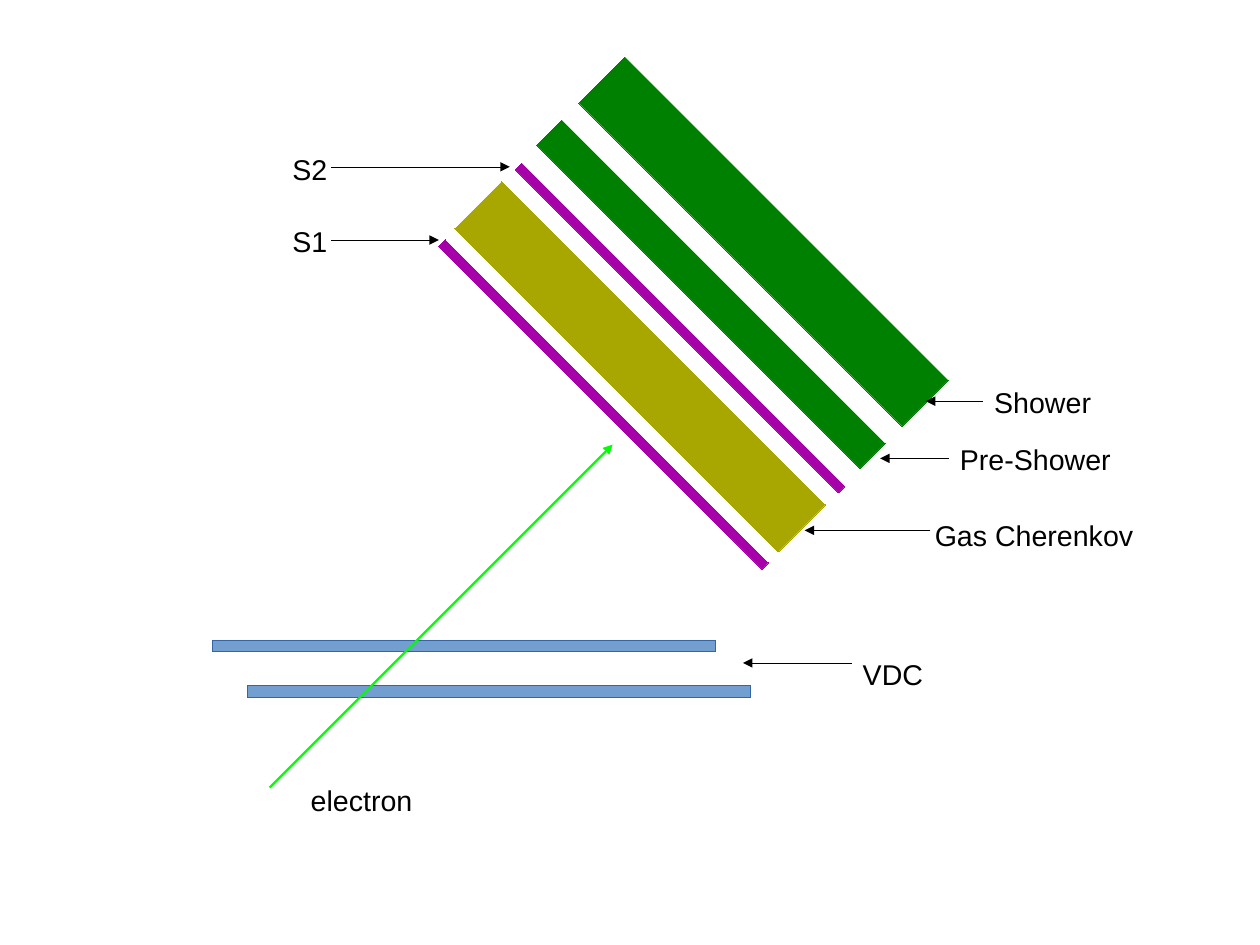
from pptx import Presentation
from pptx.dml.color import RGBColor
from pptx.enum.shapes import MSO_CONNECTOR, MSO_SHAPE
from pptx.enum.text import MSO_AUTO_SIZE
from pptx.oxml.ns import qn
from pptx.util import Inches, Pt
from lxml import etree

RECTANGLE = MSO_SHAPE.RECTANGLE
STRAIGHT = MSO_CONNECTOR.STRAIGHT
FIT_SHAPE = MSO_AUTO_SIZE.SHAPE_TO_FIT_TEXT
LEFT_SIDE = 1

BLACK = "000000"
TRACK_GREEN = "00FF00"
BLUE = "729FCF"
BLUE_EDGE = "3465A4"
PURPLE = "A600A8"
OLIVE = "A8A600"
GREEN = "008000"

CM_PER_INCH = 2.54
CHAMBER_LENGTH, CHAMBER_THICKNESS = 4.4, 0.1
DETECTOR_LENGTH, DETECTOR_ANGLE = 4, 45
LABEL_HEIGHT = 0.38

# left, top
CHAMBERS = [(1.86, 5.6), (2.17, 6)]

# left, top, thickness, colour
DETECTORS = [
    (3.28, 3.5, 0.08, PURPLE),
    (3.95, 2.83, 0.08, PURPLE),
    (3.6, 2.92, 0.58, OLIVE),
    (4.22, 2.42, 0.31, GREEN),
    (4.68, 1.83, 0.57, GREEN),
]

# text, left, top, width, arrow start x, arrow end x, arrow y
POINTERS = [
    ("VDC", 7.45, 5.7, 0.74, 7.45, 6.5, 5.8),
    ("S1", 2.46, 1.91, 0.52, 2.9, 3.84, 2.1),
    ("S2", 2.46, 1.28, 0.52, 2.9, 4.46, 1.46),
    ("Gas Cherenkov", 8.08, 4.48, 1.95, 8.14, 7.04, 4.64),
]

# text, left, top, arrow end x; the arrow leaves the middle of the left side
SIDE_POINTERS = [
    ("Shower", 8.6, 3.32, 8.1),
    ("Pre-Shower", 8.3, 3.82, 7.7),
]
SIDE_LABEL_WIDTH = 1.9


def colour(hex_string):
    return RGBColor.from_string(hex_string)


def style_line(line, line_colour, width):
    """Write the width explicitly, since a zero width is otherwise left out."""
    line.color.rgb = colour(line_colour)
    line_element = line._get_or_add_ln()
    line_element.set("w", str(Pt(width)))
    return line_element


def add_bar(slide, left, top, length, thickness, fill, edge, angle=0):
    shape = slide.shapes.add_shape(
        RECTANGLE, Inches(left), Inches(top), Inches(length), Inches(thickness))
    shape.rotation = angle
    shape.shadow.inherit = False
    shape.fill.solid()
    shape.fill.fore_color.rgb = colour(fill)
    style_line(shape.line, edge, 0)


def add_label(slide, text, left, top, width):
    label = slide.shapes.add_textbox(
        Inches(left), Inches(top), Inches(width), Inches(LABEL_HEIGHT))
    label.text_frame.word_wrap = False
    label.text_frame.auto_size = FIT_SHAPE
    run = label.text_frame.paragraphs[0].add_run()
    run.text = text
    run.font.name = "Arial"
    run.font.size = Pt(18)
    run.font.color.rgb = colour(BLACK)
    return label


def add_arrow(slide, start, end, line_colour=BLACK, width=0):
    arrow = slide.shapes.add_connector(
        STRAIGHT, *(Inches(value) for value in (*start, *end)))
    line_element = style_line(arrow.line, line_colour, width)
    etree.SubElement(line_element, qn("a:tailEnd"), type="triangle")
    etree.SubElement(line_element.getparent(), qn("a:effectLst"))
    return arrow


def main():
    presentation = Presentation()
    presentation.slide_width = Inches(28 / CM_PER_INCH)
    presentation.slide_height = Inches(21 / CM_PER_INCH)
    slide = presentation.slides.add_slide(presentation.slide_layouts[6])

    for left, top in CHAMBERS:
        add_bar(slide, left, top, CHAMBER_LENGTH, CHAMBER_THICKNESS, BLUE, BLUE_EDGE)
    for left, top, thickness, fill in DETECTORS:
        add_bar(slide, left, top, DETECTOR_LENGTH, thickness, fill, fill, DETECTOR_ANGLE)

    add_arrow(slide, (2.36, 6.89), (5.36, 3.89), TRACK_GREEN, 1.5)
    add_label(slide, "electron", 2.62, 6.8, 1.09)

    for text, left, top, width, start_x, end_x, y in POINTERS:
        add_label(slide, text, left, top, width)
        add_arrow(slide, (start_x, y), (end_x, y))
    for text, left, top, end_x in SIDE_POINTERS:
        label = add_label(slide, text, left, top, SIDE_LABEL_WIDTH)
        y = top + LABEL_HEIGHT / 2
        arrow = add_arrow(slide, (left, y), (end_x, y))
        arrow.begin_connect(label, LEFT_SIDE)

    presentation.save("out.pptx")


if __name__ == "__main__":
    main()
